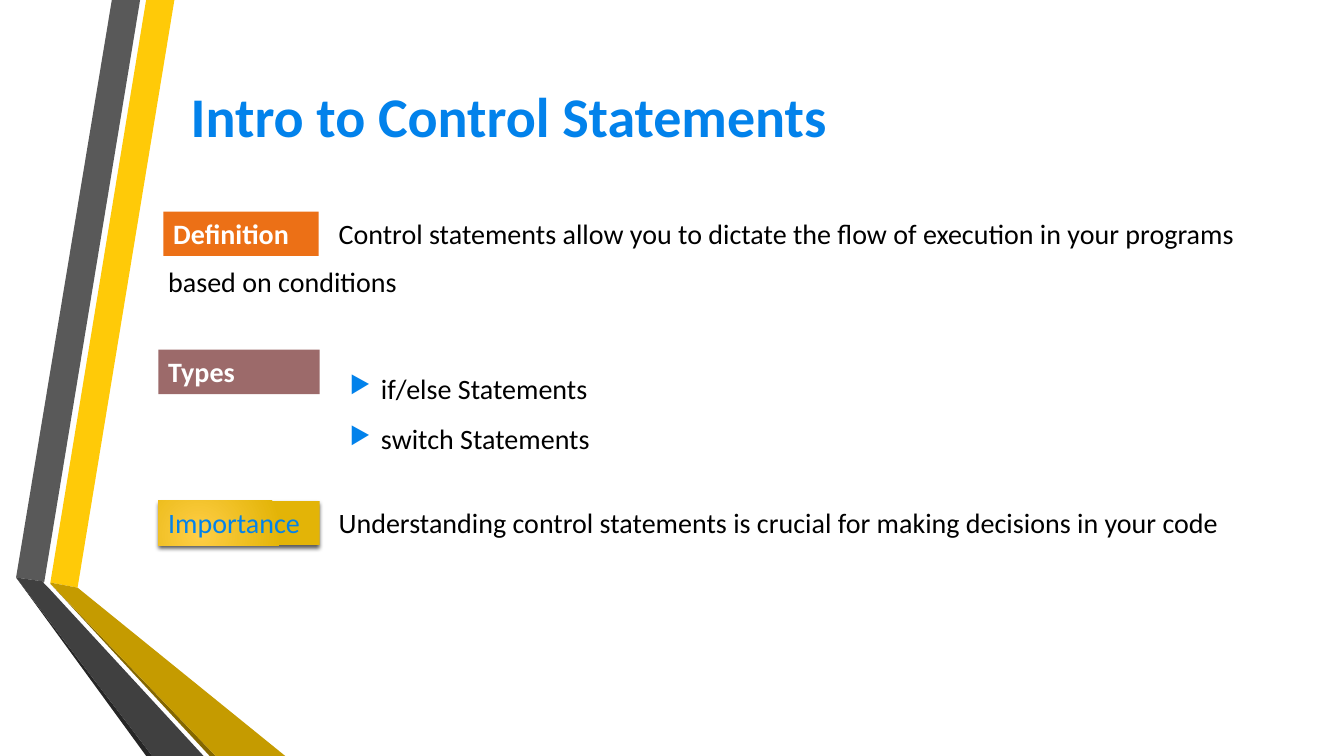
"""Builds the slide that introduces control statements."""
from lxml import etree
from pptx import Presentation
from pptx.dml.color import RGBColor
from pptx.enum.shapes import MSO_SHAPE
from pptx.enum.text import MSO_ANCHOR, PP_ALIGN
from pptx.oxml import parse_xml
from pptx.oxml.ns import nsdecls, qn
from pptx.util import Inches, Pt

RECTANGLE = MSO_SHAPE.RECTANGLE
TOP, MIDDLE = MSO_ANCHOR.TOP, MSO_ANCHOR.MIDDLE
LEFT, CENTER = PP_ALIGN.LEFT, PP_ALIGN.CENTER

BLACK = RGBColor(0x00, 0x00, 0x00)
WHITE = RGBColor(0xFF, 0xFF, 0xFF)
BLUE = RGBColor(0x02, 0x82, 0xEB)
ORANGE = RGBColor(0xEC, 0x70, 0x16)
MAUVE = RGBColor(0x9C, 0x6A, 0x6A)
LIGHT_GOLD = RGBColor(0xFF, 0xCE, 0x46)
DARK_GOLD = RGBColor(0xE3, 0xB4, 0x07)

RIBBONS = [
    (RGBColor(0xFF, 0xCA, 0x08), [(0.5, 5.78), (0.77, 5.83), (1.73, 0), (1.45, 0)]),
    (RGBColor(0x59, 0x59, 0x59), [(1.39, 0), (1.11, 0), (0.16, 5.73), (0.44, 5.77)]),
    (RGBColor(0x26, 0x26, 0x26), [(0.16, 5.73), (1.45, 7.5), (1.51, 7.5)]),
    (RGBColor(0x84, 0x67, 0x00), [(0.5, 5.79), (2.08, 7.5), (2.14, 7.5)]),
    (RGBColor(0xC5, 0x9B, 0x00),
     [(0.5, 5.79), (2.14, 7.5), (2.83, 7.5), (0.77, 5.83), (0.5, 5.78)]),
    (RGBColor(0x40, 0x40, 0x40),
     [(2.02, 7.5), (0.48, 5.83), (0.43, 5.78), (0.44, 5.77), (0.16, 5.73), (1.51, 7.5)]),
]

LINE_HEIGHT = 0.44
LABEL_LEFT, LABEL_WIDTH = 1.57, 1.6
TEXT_LEFT = 3.26
DEFINITION_TOP, TYPES_TOP, IMPORTANCE_TOP = 2.1, 3.47, 4.97


def add_bullet(paragraph, color, mark="▶", size=85, indent=0.31):
    """Give a paragraph a coloured bullet with a hanging indent."""
    properties = paragraph._p.get_or_add_pPr()
    properties.set("marL", str(Inches(indent)))
    properties.set("indent", str(-Inches(indent)))
    bullet_color = etree.SubElement(properties, qn("a:buClr"))
    etree.SubElement(bullet_color, qn("a:srgbClr")).set("val", str(color))
    etree.SubElement(properties, qn("a:buSzPct")).set("val", str(size * 1000))
    etree.SubElement(properties, qn("a:buChar")).set("char", mark)


def write_text(frame, text, font="Calibri", size=20, color=BLACK, bold=False,
               align=LEFT, anchor=TOP, spacing=None, bullet_color=None):
    """Fill a text frame, one paragraph for each line of the text."""
    frame.word_wrap = True
    frame.vertical_anchor = anchor
    for index, line in enumerate(text.split("\n")):
        paragraph = frame.add_paragraph() if index else frame.paragraphs[0]
        paragraph.alignment = align
        if spacing:
            paragraph.line_spacing = spacing
        if bullet_color is not None:
            add_bullet(paragraph, bullet_color)
        span = paragraph.add_run()
        span.text = line
        span.font.name = font
        span.font.size = Pt(size)
        span.font.bold = bold
        span.font.color.rgb = color


class SlideBuilder:
    """Holds the current slide and adds its elements."""

    def __init__(self, page):
        """Keep the slide to draw on."""
        self.page = page

    def ribbon(self, color, points):
        """Add a filled polygon."""
        corners = [(Inches(x), Inches(y)) for x, y in points]
        builder = self.page.shapes.build_freeform(*corners[0], scale=1.0)
        builder.add_line_segments(corners[1:], close=True)
        shape = builder.convert_to_shape()
        shape.shadow.inherit = False
        shape.fill.solid()
        shape.fill.fore_color.rgb = color
        shape.line.fill.background()

    def text(self, left, top, width, height, text, **style):
        """Add a text box."""
        box = self.page.shapes.add_textbox(
            Inches(left), Inches(top), Inches(width), Inches(height))
        write_text(box.text_frame, text, **style)

    def label(self, left, top, width, text, fill=None, **style):
        """Add a label box with a plain fill, if one is given."""
        box = self.page.shapes.add_shape(
            RECTANGLE, Inches(left), Inches(top), Inches(width), Inches(LINE_HEIGHT))
        box.shadow.inherit = False
        box.line.fill.background()
        if fill is not None:
            box.fill.solid()
            box.fill.fore_color.rgb = fill
        write_text(box.text_frame, text, **style)
        return box

    def glowing_label(self, left, top, width, text, inner, outer, **style):
        """Add a label box with a radial gradient and a soft shadow."""
        box = self.label(left, top, width, text, **style)
        box.fill.gradient()
        for stop, color, position in zip(box.fill.gradient_stops, (inner, outer), (0, 1)):
            stop.color.rgb = color
            stop.position = position
        properties = box._element.spPr
        linear = properties.find(".//" + qn("a:lin"))
        linear.getparent().replace(linear, parse_xml(
            f'<a:path {nsdecls("a")} path="circle">'
            '<a:fillToRect l="50000" t="100000" r="100000" b="50000"/></a:path>'))
        properties.find(qn("a:effectLst")).append(parse_xml(
            f'<a:outerShdw {nsdecls("a")} blurRad="{Pt(3)}" dist="{Pt(2)}" '
            'dir="5400000" algn="ctr" rotWithShape="0">'
            '<a:srgbClr val="000000"><a:alpha val="64000"/></a:srgbClr></a:outerShdw>'))


def main():
    """Build and save the deck."""
    deck = Presentation()
    deck.slide_width, deck.slide_height = Inches(13.33), Inches(7.5)
    slide = SlideBuilder(deck.slides.add_slide(deck.slide_layouts[6]))

    for color, points in RIBBONS:
        slide.ribbon(color, points)

    slide.text(1.62, 0.75, 6.85, 0.78, "Intro to Control Statements",
               size=40, color=BLUE, bold=True, align=CENTER, anchor=MIDDLE)

    slide.label(1.62, DEFINITION_TOP, 1.54, "Definition", ORANGE, color=WHITE, bold=True)
    slide.text(TEXT_LEFT, DEFINITION_TOP, 9.35, LINE_HEIGHT,
               "Control statements allow you to dictate the flow of execution in your programs")
    slide.text(LABEL_LEFT, 2.58, 2.6, LINE_HEIGHT, "based on conditions")

    slide.label(LABEL_LEFT, TYPES_TOP, LABEL_WIDTH, "Types", MAUVE, color=WHITE, bold=True)
    slide.text(3.37, TYPES_TOP, 2.93, 1.06, "if/else Statements\nswitch Statements",
               spacing=1.5, bullet_color=BLUE)

    slide.glowing_label(LABEL_LEFT, IMPORTANCE_TOP, LABEL_WIDTH, "Importance",
                        LIGHT_GOLD, DARK_GOLD, color=BLUE)
    slide.text(TEXT_LEFT, IMPORTANCE_TOP, 9.12, LINE_HEIGHT,
               "Understanding control statements is crucial for making decisions in your code")

    deck.save("out.pptx")


if __name__ == "__main__":
    main()
